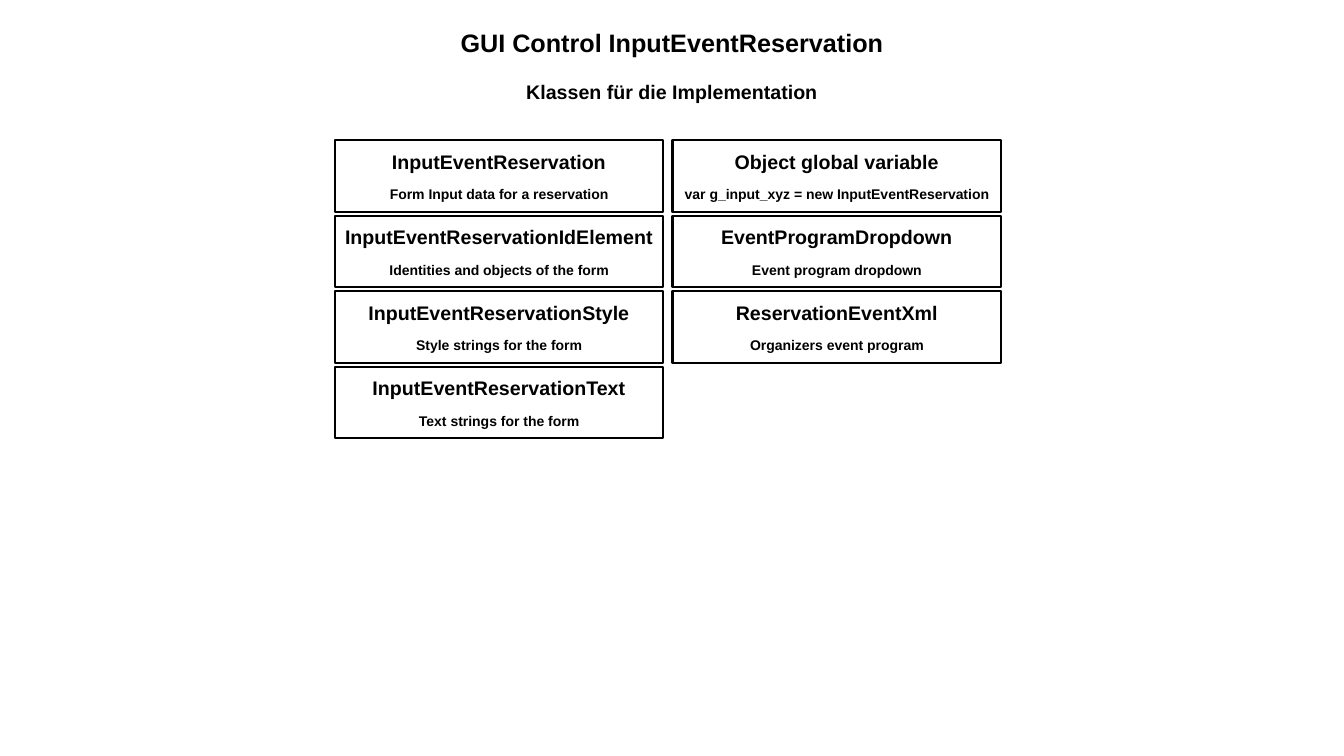
from pptx import Presentation
from pptx.dml.color import RGBColor
from pptx.enum.shapes import MSO_SHAPE as Shape
from pptx.enum.text import MSO_ANCHOR as Anchor, MSO_AUTO_SIZE as AutoSize, PP_ALIGN as Align
from pptx.util import Inches, Pt

BLACK = RGBColor(0x00, 0x00, 0x00)
FONT = "Arial"
TITLE_ONLY = 5

GRID_LEFT, GRID_TOP = 3.32, 1.39
COLUMN_PITCH, ROW_PITCH = 3.35, 0.75
BOX_WIDTH, BOX_HEIGHT = 3.26, 0.71

CLASS_COLUMNS = [
    [
        ("InputEventReservation", "Form Input data for a reservation"),
        ("InputEventReservationIdElement", "Identities and objects of the form"),
        ("InputEventReservationStyle", "Style strings for the form"),
        ("InputEventReservationText", "Text strings for the form"),
    ],
    [
        ("Object global variable", "var g_input_xyz = new InputEventReservation"),
        ("EventProgramDropdown", "Event program dropdown"),
        ("ReservationEventXml", "Organizers event program"),
    ],
]


def write_paragraph(paragraph, text, *, size, space_before=0):
    paragraph.alignment = Align.CENTER
    paragraph.space_before = Pt(space_before)
    run = paragraph.add_run()
    run.text = text
    run.font.name = FONT
    run.font.size = Pt(size)
    run.font.bold = True
    run.font.color.rgb = BLACK


def write_heading_pair(shape, heading, detail, *, heading_size, detail_size, gap, anchor):
    frame = shape.text_frame
    frame.word_wrap = True
    frame.auto_size = AutoSize.NONE
    frame.vertical_anchor = anchor
    write_paragraph(frame.paragraphs[0], heading, size=heading_size)
    write_paragraph(frame.add_paragraph(), detail, size=detail_size, space_before=gap)


def add_title(slide, heading, subtitle):
    title = slide.shapes.title
    title.left, title.top = Inches(0), Inches(0.22)
    title.width, title.height = Inches(13.33), Inches(0.88)
    write_heading_pair(title, heading, subtitle, heading_size=18, detail_size=14,
                       gap=16, anchor=Anchor.TOP)


def add_class_box(slide, column, row, name, description):
    box = slide.shapes.add_shape(
        Shape.RECTANGLE,
        Inches(GRID_LEFT + column * COLUMN_PITCH),
        Inches(GRID_TOP + row * ROW_PITCH),
        Inches(BOX_WIDTH),
        Inches(BOX_HEIGHT),
    )
    box.shadow.inherit = False
    box.fill.background()
    box.line.color.rgb = BLACK
    box.line.width = Pt(1.5)
    write_heading_pair(box, name, description, heading_size=14, detail_size=10,
                       gap=9, anchor=Anchor.MIDDLE)


def main():
    presentation = Presentation()
    presentation.slide_width = Inches(13.33)
    presentation.slide_height = Inches(7.5)
    slide = presentation.slides.add_slide(presentation.slide_layouts[TITLE_ONLY])
    add_title(slide, "GUI Control InputEventReservation", "Klassen für die Implementation")
    for column, classes in enumerate(CLASS_COLUMNS):
        for row, (name, description) in enumerate(classes):
            add_class_box(slide, column, row, name, description)
    presentation.save("out.pptx")


if __name__ == "__main__":
    main()
